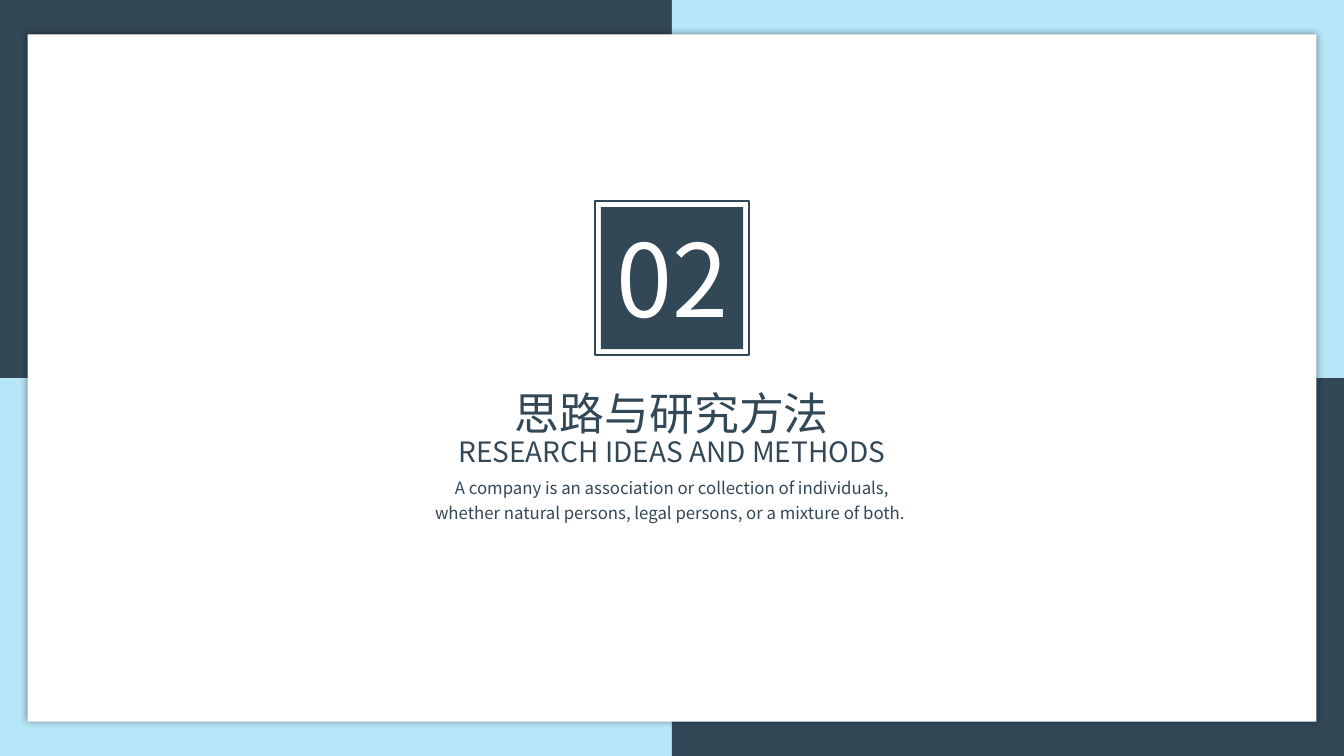
from lxml import etree
from pptx import Presentation
from pptx.dml.color import RGBColor
from pptx.enum import shapes, text
from pptx.oxml import ns
from pptx.util import Inches, Pt

# Content
FONT = "Noto Sans CJK SC"
NAVY, SKY, WHITE = "324857", "B6E6F7", "FFFFFF"
WIDTH, HEIGHT = 13.33, 7.5
CARD = (12.78, 6.82)
BADGE_MIDDLE, BADGE, FRAME = 2.76, 1.41, 1.53
# text, top, width, height, size, colour, line spacing
TEXTS = [
    ("思路与研究方法", 3.38, 3.36, 1.03, 32, NAVY, 1.75),
    ("RESEARCH IDEAS AND METHODS", 4.26, 7.22, 0.43, 20, NAVY, 1.0),
    ("A company is an association or collection of individuals, "
     "whether natural persons, legal persons, or a mixture of both. ",
     4.64, 5.12, 0.6, 12, NAVY, 1.25),
    ("02", 2.1, 3.89, 1.3, 72, WHITE, 1.0),
]

prs = Presentation()
prs.slide_width, prs.slide_height = Inches(WIDTH), Inches(HEIGHT)
s = prs.slides.add_slide(prs.slide_layouts[6])


def rgb(value):
    return RGBColor.from_string(value)


def add_rect(left, top, width, height, fill=None, line=None):
    sp = s.shapes.add_shape(shapes.MSO_SHAPE.RECTANGLE, Inches(left),
                            Inches(top), Inches(width), Inches(height))
    sp.shadow.inherit = False
    if fill:
        sp.fill.solid()
        sp.fill.fore_color.rgb = rgb(fill)
    else:
        sp.fill.background()
    if line:
        sp.line.color.rgb = rgb(line)
        sp.line.width = Pt(1.5)
    else:
        sp.line.fill.background()
    return sp


def add_centred_rect(middle, width, height, **style):
    return add_rect((WIDTH - width) / 2, middle - height / 2, width, height, **style)


def add_glow(sp, blur, alpha):
    effects = sp._element.spPr.find(ns.qn("a:effectLst"))
    shadow = etree.SubElement(effects, ns.qn("a:outerShdw"), blurRad=str(Pt(blur)),
                              dist="0", dir="0", algn="ctr", rotWithShape="0")
    color = etree.SubElement(shadow, ns.qn("a:srgbClr"), val="000000")
    etree.SubElement(color, ns.qn("a:alpha"), val=str(alpha * 1000))


def add_text(words, top, width, height, size, color, spacing):
    box = s.shapes.add_textbox(Inches((WIDTH - width) / 2), Inches(top),
                               Inches(width), Inches(height))
    tf = box.text_frame
    tf.text = words
    tf.word_wrap = True
    p = tf.paragraphs[0]
    p.alignment = text.PP_ALIGN.CENTER
    p.line_spacing = spacing
    r = p.runs[0]
    r.font.name, r.font.size = FONT, Pt(size)
    r.font.color.rgb = rgb(color)
    etree.SubElement(r._r.get_or_add_rPr(), ns.qn("a:ea"), typeface=FONT)


# Checkered background
for row in range(2):
    for col in range(2):
        add_rect(col * WIDTH / 2, row * HEIGHT / 2, WIDTH / 2, HEIGHT / 2,
                 fill=NAVY if row == col else SKY)

# White card
add_glow(add_centred_rect(HEIGHT / 2, *CARD, fill=WHITE), blur=5, alpha=40)

# Number badge
add_centred_rect(BADGE_MIDDLE, BADGE, BADGE, fill=NAVY)
add_centred_rect(BADGE_MIDDLE, FRAME, FRAME, line=NAVY)

# Titles and number
for item in TEXTS:
    add_text(*item)

prs.save("out.pptx")
